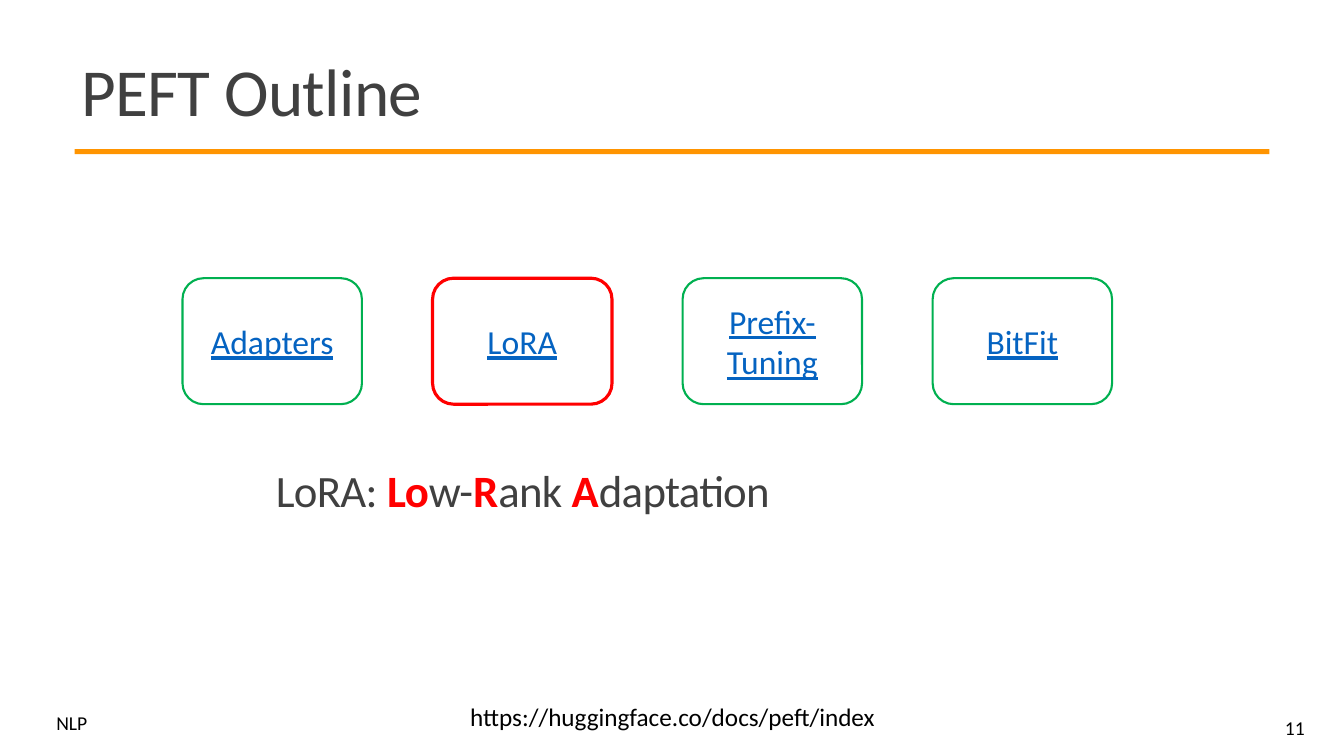
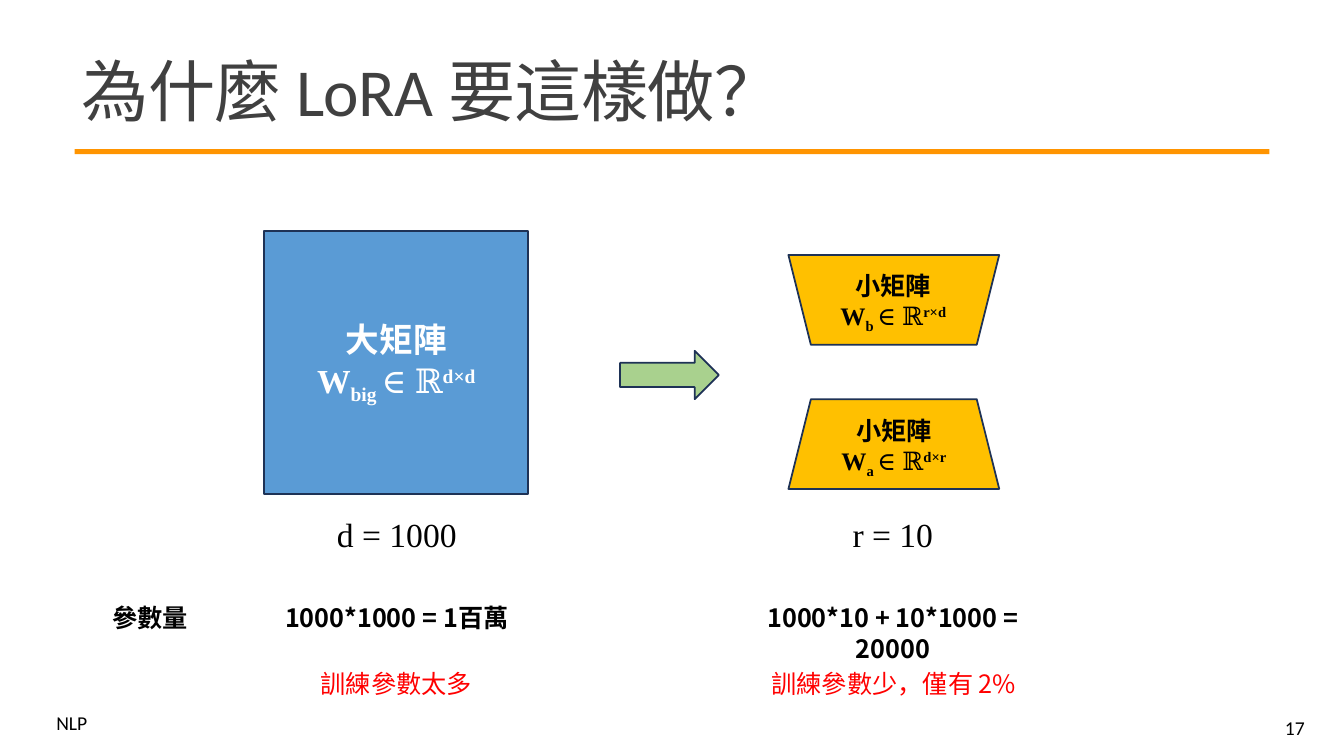
from dataclasses import dataclass
from lxml.etree import SubElement
from pptx import Presentation
from pptx.dml.color import RGBColor
from pptx.enum.shapes import MSO_SHAPE as Preset
from pptx.enum.text import MSO_ANCHOR as Anchor, MSO_AUTO_SIZE as AutoSize, PP_ALIGN as Align
from pptx.oxml.ns import qn
from pptx.util import Inches, Pt


@dataclass(frozen=True)
class Theme:
    latin: str = "Calibri"
    chinese: str = "Noto Sans CJK TC"
    maths: str = "Times New Roman"
    black: str = "000000"
    white: str = "FFFFFF"
    grey: str = "404040"
    orange: str = "FF9400"
    red: str = "FF0000"
    green: str = "00B050"
    link: str = "0563C1"
    blue: str = "5A9BD5"
    navy: str = "1E3256"
    lime: str = "A9D18E"
    gold: str = "FFC000"
    title: int = 48
    subtitle: int = 32
    large: int = 24
    normal: int = 18
    small: int = 14


THEME = Theme()
TITLE_BOX = (0.71, 0.39, 11.94, 1.13)


class Deck:
    """Build slides that share one theme, title style, band and footer."""

    def __init__(self, theme):
        self.theme = theme
        self.presentation = Presentation()
        self.presentation.slide_width = Inches(13.33)
        self.presentation.slide_height = Inches(7.5)
        self.layout = self.presentation.slide_layouts[5]
        self.place(self.layout.placeholders[0], TITLE_BOX)
        self.slide = None

    def place(self, shape, box):
        for name, value in zip(("left", "top", "width", "height"), box):
            setattr(shape, name, Inches(value))

    def add_slide(self, title_runs, number):
        first = self.slide is None
        self.slide = self.presentation.slides.add_slide(self.layout)
        if first:
            self.add_shared()
        self.fill_text(self.slide.shapes.title, [title_runs], size=self.theme.title,
                       color=self.theme.grey, spacing=-50, align=Align.LEFT,
                       anchor=Anchor.MIDDLE, line_spacing=0.85)
        self.text((11.61, 7.02, 1.43, 0.4), [[(number, {})]], size=self.theme.small,
                  align=Align.RIGHT, anchor=Anchor.MIDDLE)

    def add_shared(self):
        band = self.shape(Preset.RECTANGLE, (0.74, 1.48, 11.85, 0.05), fill=self.theme.orange)
        course = self.text((0.46, 7.05, 0.61, 0.29), [[("NLP", {})]], size=self.theme.small,
                           align=Align.LEFT, line_spacing=0.8)
        for shape in (band, course):
            self.layout.shapes._spTree.append(shape._element)

    def shape(self, preset, box, fill=None, line=None, width=1.25):
        shape = self.slide.shapes.add_shape(preset, *map(Inches, box))
        shape.shadow.inherit = False
        for target, color in ((shape.fill, fill), (shape.line.fill, line)):
            if color:
                target.solid()
                target.fore_color.rgb = RGBColor.from_string(color)
            else:
                target.background()
        if line:
            shape.line.width = Pt(width)
        return shape

    def text(self, box, paragraphs, **style):
        shape = self.slide.shapes.add_textbox(*map(Inches, box))
        return self.fill_text(shape, paragraphs, **style)

    def fill_text(self, shape, paragraphs, align=Align.CENTER, anchor=Anchor.TOP,
                  line_spacing=1.0, **style):
        frame = shape.text_frame
        frame_format = {"word_wrap": True, "auto_size": AutoSize.NONE, "vertical_anchor": anchor}
        for name, value in frame_format.items():
            setattr(frame, name, value)
        for index, runs in enumerate(paragraphs):
            paragraph = frame.add_paragraph() if index else frame.paragraphs[0]
            paragraph.alignment = align
            paragraph.line_spacing = line_spacing
            for content, changes in runs:
                self.add_run(paragraph, content, {**style, **changes})
        return shape

    def add_run(self, paragraph, content, style):
        run = paragraph.add_run()
        run.text = content
        face = style.get("name", self.theme.latin)
        font_format = {"name": face, "size": Pt(style["size"]),
                       "bold": style.get("bold", False),
                       "underline": style.get("underline", False)}
        for name, value in font_format.items():
            setattr(run.font, name, value)
        run.font.color.rgb = RGBColor.from_string(style.get("color", self.theme.black))
        properties = run._r.get_or_add_rPr()
        for key, attribute in (("spacing", "spc"), ("baseline", "baseline")):
            if key in style:
                properties.set(attribute, str(style[key]))
        SubElement(properties, qn("a:ea")).set("typeface", face)

    def matrix_label(self, shape, name, subscript, superscript, size, color, **style):
        maths = {"name": self.theme.maths}
        formula = [("W", maths), (f"{subscript} ", {**maths, "baseline": -25000}),
                   ("∈ ℝ", maths), (superscript, {**maths, "baseline": 30000})]
        return self.fill_text(shape, [[(name, {"name": self.theme.chinese})], formula],
                              size=size, color=color, bold=True, **style)


def build_outline(deck):
    theme = deck.theme
    deck.add_slide([("PEFT Outline", {})], "11")
    for index, method in enumerate(("Adapters", "LoRA", "Prefix-Tuning", "BitFit")):
        line, width = (theme.red, 2.25) if method == "LoRA" else (theme.green, 1.5)
        card = deck.shape(Preset.ROUNDED_RECTANGLE, (1.81 + 2.48 * index, 2.76, 1.78, 1.25),
                          line=line, width=width)
        deck.fill_text(card, [[(method, {})]], size=theme.large, color=theme.link,
                       underline=True, anchor=Anchor.MIDDLE)
    deck.text((4.31, 6.91, 4.72, 0.4), [[("https://huggingface.co/docs/peft/index", {})]],
              size=theme.normal)
    initial = {"color": theme.red, "bold": True}
    expansion = [("LoRA: ", {}), ("Lo", initial), ("w-", {}), ("R", initial),
                 ("ank ", {}), ("A", initial), ("daptation", {})]
    deck.text((1.91, 4.33, 6.55, 1.13), [expansion], size=theme.subtitle, color=theme.grey,
              spacing=-50, anchor=Anchor.MIDDLE, line_spacing=0.85)


def build_reason(deck):
    theme = deck.theme
    chinese = {"name": theme.chinese}
    deck.add_slide([("為什麼 ", chinese), ("LoRA", {}), (" 要這樣做？", chinese)], "17")

    big = deck.shape(Preset.RECTANGLE, (2.62, 2.29, 2.62, 2.61), theme.blue, theme.navy)
    deck.matrix_label(big, "大矩陣", "big", "d×d", theme.large, theme.white, anchor=Anchor.MIDDLE)
    deck.shape(Preset.RIGHT_ARROW, (6.15, 3.48, 0.98, 0.48), theme.lime, theme.navy)
    upper, lower = [deck.shape(Preset.TRAPEZOID, (7.82, top, 2.09, 0.89), theme.gold, theme.navy)
                    for top in (2.53, 3.96)]
    upper.rotation = 180
    deck.matrix_label(lower, "小矩陣", "a", "d×r", theme.normal, theme.black, anchor=Anchor.MIDDLE)
    upper_label = deck.text((8.08, 2.63, 1.56, 0.71), [])
    deck.matrix_label(upper_label, "小矩陣", "b", "r×d", theme.normal, theme.black)

    for box, size_label in (((3.22, 5.05, 1.43, 0.5), "d = 1000"),
                            ((8.26, 5.05, 1.19, 0.5), "r = 10")):
        deck.text(box, [[(size_label, {})]], name=theme.maths, size=theme.large)
    count = {"bold": True}
    verdict = {"color": theme.red}
    for box, content, style in (
            ((0.71, 5.93, 1.56, 0.4), "參數量", count),
            ((2.57, 5.93, 2.73, 0.4), "1000*1000 = 1百萬", count),
            ((7.49, 5.93, 2.73, 0.71), "1000*10 + 10*1000 = 20000", count),
            ((2.99, 6.58, 1.88, 0.4), "訓練參數太多", verdict),
            ((7.5, 6.58, 2.73, 0.4), "訓練參數少，僅有 2%", verdict)):
        deck.text(box, [[(content, style)]], name=theme.chinese, size=theme.normal)


def main():
    deck = Deck(THEME)
    build_outline(deck)
    build_reason(deck)
    deck.presentation.save("out.pptx")


if __name__ == "__main__":
    main()
